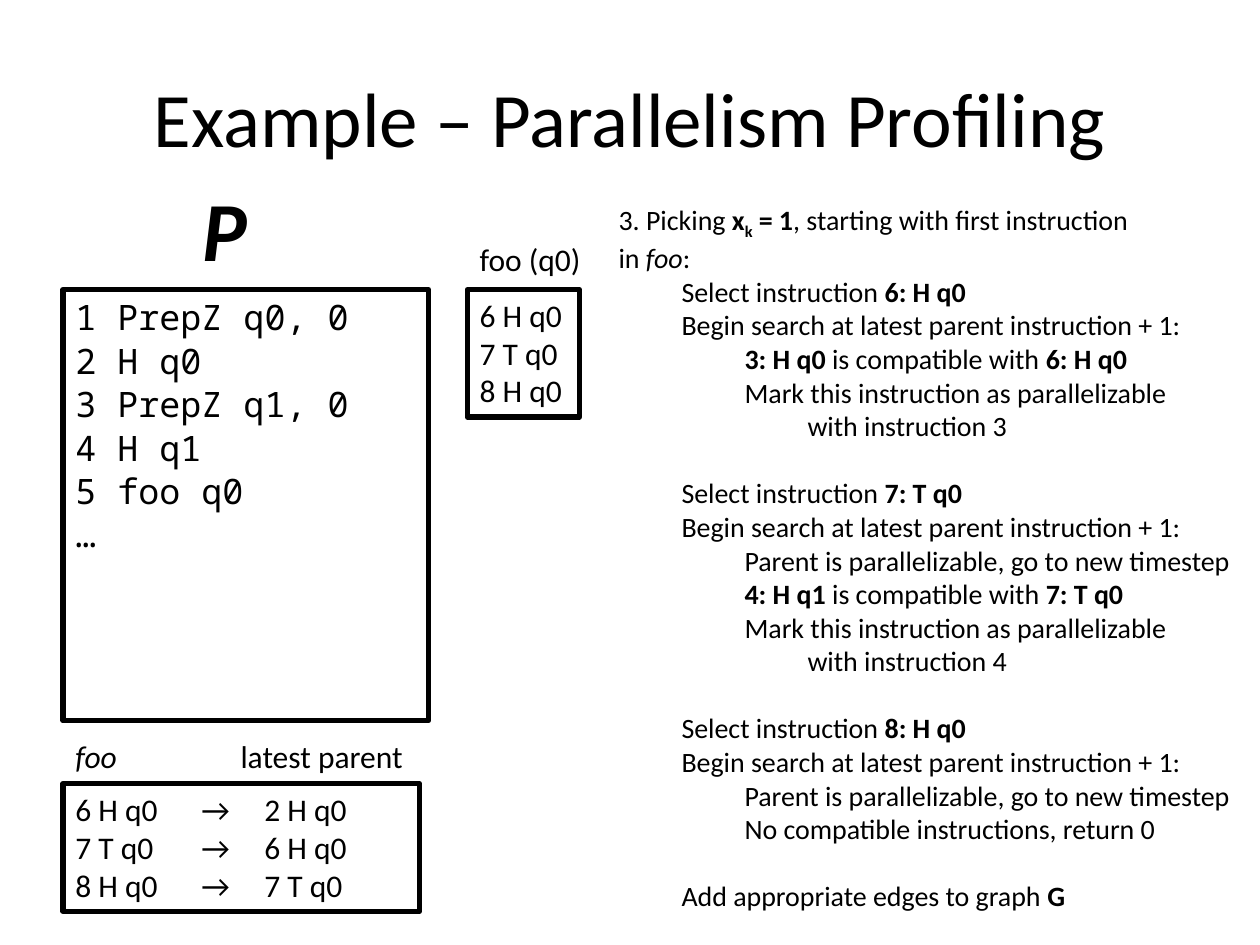
from lxml import etree
from pptx import Presentation
from pptx.dml.color import RGBColor
from pptx.enum.shapes import MSO_SHAPE
from pptx.enum.text import MSO_ANCHOR, PP_ALIGN
from pptx.oxml.ns import qn
from pptx.util import Cm, Pt

RECTANGLE = MSO_SHAPE.RECTANGLE
TOP, MIDDLE = MSO_ANCHOR.TOP, MSO_ANCHOR.MIDDLE
LEFT, CENTER = PP_ALIGN.LEFT, PP_ALIGN.CENTER

COLORS = {"ink": "000000"}
INK = RGBColor.from_string(COLORS["ink"])
BODY, CODE = "Calibri", "Noto Sans Mono"
INDENT = Cm(1.27)
MARGIN_LEFT = 1.27


def add_block(left, top, width, height, text, size, font=BODY, framed=False, wrap=True):
    """Add a text block, with a heavy black frame if wanted."""
    box = (Cm(left), Cm(top), Cm(width), Cm(height))
    if framed:
        block = slide.shapes.add_shape(RECTANGLE, *box)
        block.shadow.inherit = False
        block.fill.background()
        block.line.color.rgb = INK
        block.line.width = Pt(3)
    else:
        block = slide.shapes.add_textbox(*box)
    frame = block.text_frame
    frame.word_wrap = wrap
    frame.vertical_anchor = TOP
    frame.text = text
    for paragraph in frame.paragraphs:
        paragraph.alignment = LEFT
        for run in paragraph.runs:
            style_run(run, size, font)
    return frame


def style_run(run, size, font=BODY, style=""):
    """Style letters: b bold, i italic, s subscript."""
    run.font.size = Pt(size)
    run.font.name = font
    run.font.color.rgb = INK
    run.font.bold = "b" in style
    run.font.italic = "i" in style
    if "s" in style:
        run.font._element.set("baseline", "-25000")


prs = Presentation()
prs.slide_width, prs.slide_height = Cm(25.4), Cm(19.05)
slide = prs.slides.add_slide(prs.slide_layouts[6])

# Title
title = add_block(MARGIN_LEFT, 0.76, 22.86, 3.18, "Example – Parallelism Profiling", 44)
title.vertical_anchor = MIDDLE
title.paragraphs[0].alignment = CENTER

# Program P
program_name = add_block(3.84, 3.45, 1.85, 2.31, "P", 48, wrap=False)
style_run(program_name.paragraphs[0].runs[0], 48, style="bi")
program = add_block(
    MARGIN_LEFT, 5.84, 7.37, 8.69,
    "1 PrepZ q0, 0\n2 H q0\n3 PrepZ q1, 0\n4 H q1\n5 foo q0\n…",
    20, CODE, framed=True)
for instruction in program.paragraphs:
    instruction.space_before = Pt(0.8)

# Module foo
add_block(9.42, 4.72, 2.59, 1.02, "foo (q0)", 18, wrap=False)
add_block(9.42, 5.84, 2.26, 2.57, "6 H q0\n7 T q0\n8 H q0", 18, framed=True)

# Latest parent of each instruction in foo
foo_heading = add_block(MARGIN_LEFT, 14.73, 3, 1.02, "foo", 18)
style_run(foo_heading.paragraphs[0].runs[0], 18, style="i")
add_block(4.6, 14.73, 3.86, 1.02, "latest parent", 18, wrap=False)
parents = add_block(
    MARGIN_LEFT, 15.8, 7.19, 2.57,
    "6 H q0\t→\t2 H q0\n7 T q0\t→\t6 H q0\n8 H q0\t→\t7 T q0", 18, framed=True)
for row in parents.paragraphs:
    tab_list = etree.SubElement(row._p.get_or_add_pPr(), qn("a:tabLst"))
    for stop in (2 * INDENT, 3 * INDENT):
        etree.SubElement(tab_list, qn("a:tab"), pos=str(stop), algn="l")

# Search steps: indent level, then (text, style) pieces
SEARCH = (1, [("Begin search at latest parent instruction + 1:", "")])
MARK = (2, [("Mark this instruction as parallelizable", "")])
NEW_TIMESTEP = (2, [("Parent is parallelizable, go to new timestep", "")])
step_groups = [
    [
        (0, [("3. Picking ", ""), ("x", "b"), ("k", "bs"), (" = 1", "b"),
             (", starting with first instruction", "")]),
        (0, [("in ", ""), ("foo", "i"), (":", "")]),
        (1, [("Select instruction ", ""), ("6: H q0", "b")]),
        SEARCH,
        (2, [("3: H q0", "b"), (" is compatible with ", ""), ("6: H q0", "b")]),
        MARK,
        (3, [("with instruction 3", "")]),
    ],
    [
        (1, [("Select instruction ", ""), ("7: T q0", "b")]),
        SEARCH,
        NEW_TIMESTEP,
        (2, [("4: H q1 ", "b"), ("is compatible with ", ""), ("7: T q0", "b")]),
        MARK,
        (3, [("with instruction 4", "")]),
    ],
    [
        (1, [("Select instruction ", ""), ("8: H q0", "b")]),
        SEARCH,
        NEW_TIMESTEP,
        (2, [("No compatible instructions, return 0", "")]),
    ],
    [(1, [("Add appropriate edges to graph ", ""), ("G", "b")])],
]
steps = add_block(12.22, 3.96, 13.08, 14.8, "", 16)
for group_index, group in enumerate(step_groups):
    for line_index, (level, pieces) in enumerate(group):
        first = group_index == line_index == 0
        step = steps.paragraphs[0] if first else steps.add_paragraph()
        step.alignment = LEFT
        step._p.get_or_add_pPr().set("marL", str(level * INDENT))
        if group_index and line_index == 0:
            step.space_before = Pt(19.2)
        for text, style in pieces:
            run = step.add_run()
            run.text = text
            style_run(run, 16, style=style)

prs.save("out.pptx")
